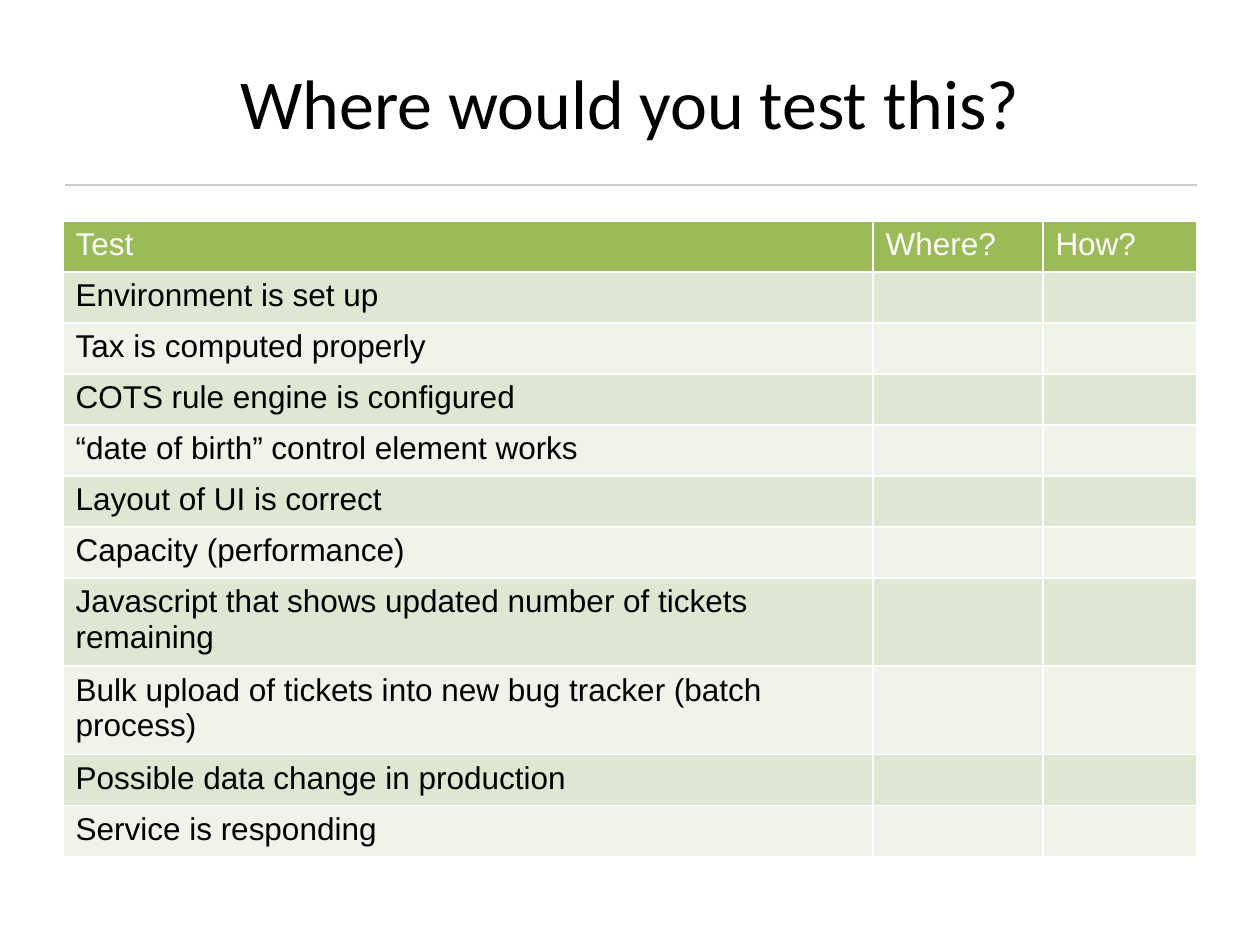
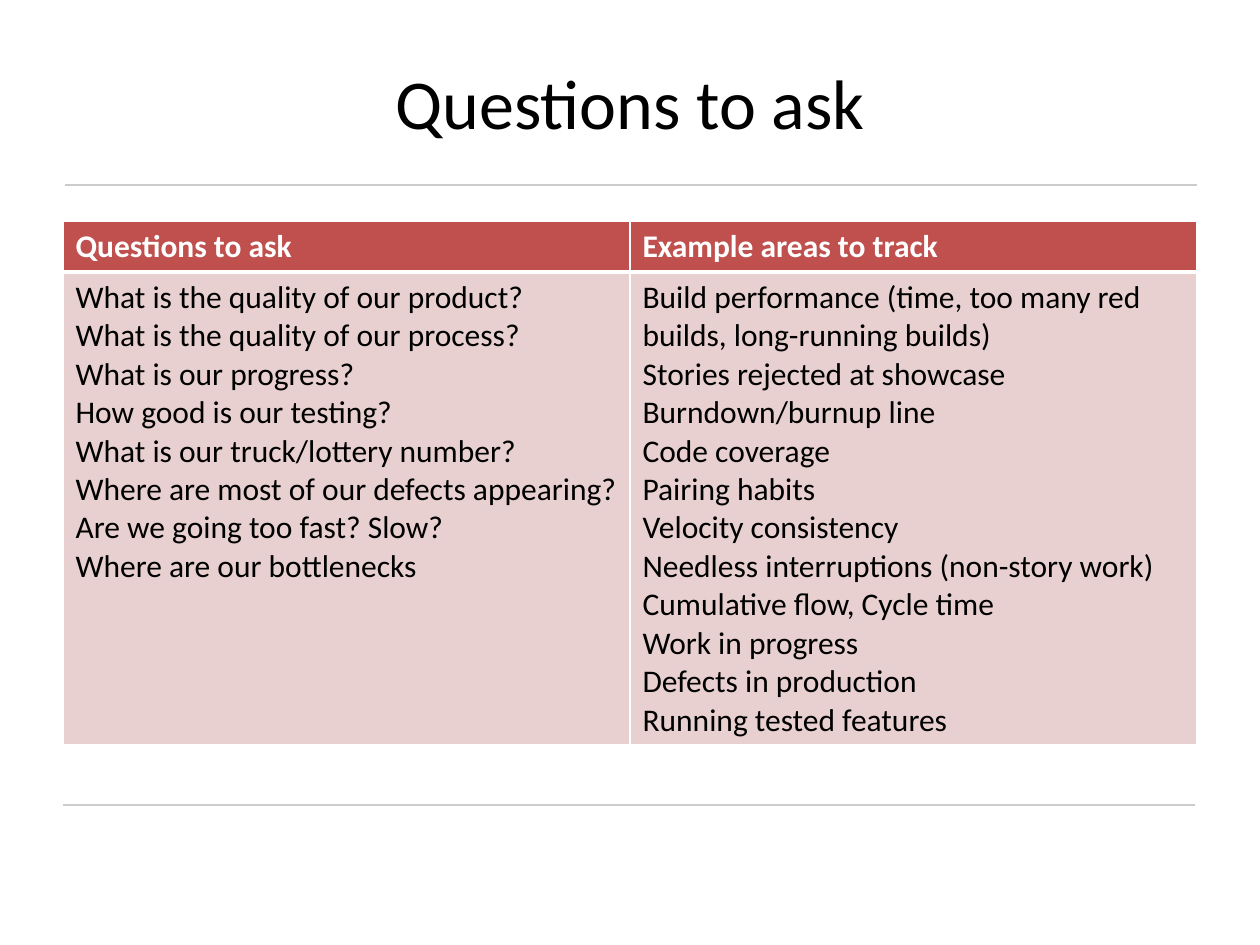
from lxml import etree
from pptx import Presentation
from pptx.dml.color import RGBColor
from pptx.enum.shapes import MSO_CONNECTOR
from pptx.enum.text import MSO_ANCHOR, PP_ALIGN
from pptx.oxml.ns import qn
from pptx.util import Emu, Pt

LEFT, CENTER = PP_ALIGN.LEFT, PP_ALIGN.CENTER
MIDDLE = MSO_ANCHOR.MIDDLE
STRAIGHT = MSO_CONNECTOR.STRAIGHT

PX = 914400 / 126
BLACK = RGBColor(0x00, 0x00, 0x00)
WHITE = RGBColor(0xFF, 0xFF, 0xFF)
RULE_GRAY = RGBColor(0xCC, 0xCC, 0xCC)
GREEN = RGBColor(0x9B, 0xBB, 0x59)
GREEN_BAND = RGBColor(0xDE, 0xE7, 0xD1)
GREEN_PALE = RGBColor(0xEF, 0xF3, 0xEA)
RED = RGBColor(0xC0, 0x50, 0x4D)
RED_BAND = RGBColor(0xE8, 0xD0, 0xD0)

MARGIN, CONTENT_WIDTH = 63, 1134
TABLE_TOP, ROW_HEIGHT, TALL_ROW = 221, 51, 83
RULES = [(63, 805), (65, 185)]
RULE_LENGTH = 1132


def write(frame, text, font="Calibri", size=18, color=BLACK, bold=False, align=LEFT):
    """Put each line of text in its own paragraph."""
    for number, line in enumerate(text.split("\n")):
        paragraph = frame.add_paragraph() if number else frame.paragraphs[0]
        paragraph.alignment = align
        run = paragraph.add_run()
        run.text = line
        run.font.name, run.font.size, run.font.bold = font, Pt(size), bold
        run.font.color.rgb = color


def set_borders(cell, top, bottom):
    """Draw white cell borders, with 1 pt sides, ahead of the cell fill."""
    properties = cell._tc.get_or_add_tcPr()
    widths = {"a:lnL": 1, "a:lnR": 1, "a:lnT": top, "a:lnB": bottom}
    for position, (tag, width) in enumerate(widths.items()):
        border = etree.Element(qn(tag), w=str(Pt(width)))
        fill = etree.SubElement(border, qn("a:solidFill"))
        etree.SubElement(fill, qn("a:srgbClr"), val=str(WHITE))
        properties.insert(position, border)


tests = [
    "Environment is set up",
    "Tax is computed properly",
    "COTS rule engine is configured",
    "“date of birth” control element works",
    "Layout of UI is correct",
    "Capacity (performance)",
    "Javascript that shows updated number of tickets remaining",
    "Bulk upload of tickets into new bug tracker (batch process)",
    "Possible data change in production",
    "Service is responding",
]
questions = """What is the quality of our product?
What is the quality of our process?
What is our progress?
How good is our testing?
What is our truck/lottery number?
Where are most of our defects appearing?
Are we going too fast? Slow?
Where are our bottlenecks"""
areas = """Build performance (time, too many red builds, long-running builds)
Stories rejected at showcase
Burndown/burnup line
Code coverage
Pairing habits
Velocity consistency
Needless interruptions (non-story work)
Cumulative flow, Cycle time
Work in progress
Defects in production
Running tested features"""

pages = [
    dict(
        title="Where would you test this?",
        rows=[["Test", "Where?", "How?"]] + [[test, "", ""] for test in tests],
        columns=[810, 170, 154],
        heights=[ROW_HEIGHT] * 7 + [TALL_ROW] * 2 + [ROW_HEIGHT] * 2,
        font="Arial", header_bold=False, header_line=1,
        header_fill=GREEN, bands=[GREEN_BAND, GREEN_PALE],
    ),
    dict(
        title="Questions to ask",
        rows=[["Questions to ask", "Example areas to track"], [questions, areas]],
        columns=[567, 567],
        heights=[ROW_HEIGHT, 473],
        font="Calibri", header_bold=True, header_line=3,
        header_fill=RED, bands=[RED_BAND],
    ),
]

prs = Presentation()
prs.slide_width, prs.slide_height = Emu(round(1260 * PX)), Emu(round(945 * PX))

for page in pages:
    slide = prs.slides.add_slide(prs.slide_layouts[6])

    # Rules above and below the content
    for x, y in RULES:
        ends = [round(v * PX) for v in (x, y, x + RULE_LENGTH, y)]
        rule = slide.shapes.add_connector(STRAIGHT, *ends)
        rule.line.color.rgb, rule.line.width = RULE_GRAY, Pt(1)
        etree.SubElement(rule._element.spPr, qn("a:effectLst"))

    # Title
    title_area = [round(v * PX) for v in (MARGIN, 38, CONTENT_WIDTH, 127)]
    title = slide.shapes.add_textbox(*title_area).text_frame
    title.word_wrap, title.vertical_anchor = True, MIDDLE
    write(title, page["title"], size=40, align=CENTER)

    # Table
    rows, columns, heights = page["rows"], page["columns"], page["heights"]
    table_area = [round(v * PX) for v in (MARGIN, TABLE_TOP, CONTENT_WIDTH, sum(heights))]
    table = slide.shapes.add_table(len(rows), len(columns), *table_area).table
    table.horz_banding = False
    for column, width in zip(table.columns, columns):
        column.width = Emu(round(width * PX))
    for r, (texts, height) in enumerate(zip(rows, heights)):
        table.rows[r].height = Emu(round(height * PX))
        header = r == 0
        bands = page["bands"]
        for c, text in enumerate(texts):
            cell = table.cell(r, c)
            cell.fill.solid()
            cell.fill.fore_color.rgb = page["header_fill"] if header else bands[(r - 1) % len(bands)]
            set_borders(cell, top=page["header_line"] if r == 1 else 1,
                        bottom=page["header_line"] if header else 1)
            if text:
                write(cell.text_frame, text, font=page["font"],
                      color=WHITE if header else BLACK,
                      bold=header and page["header_bold"])

prs.save("out.pptx")
